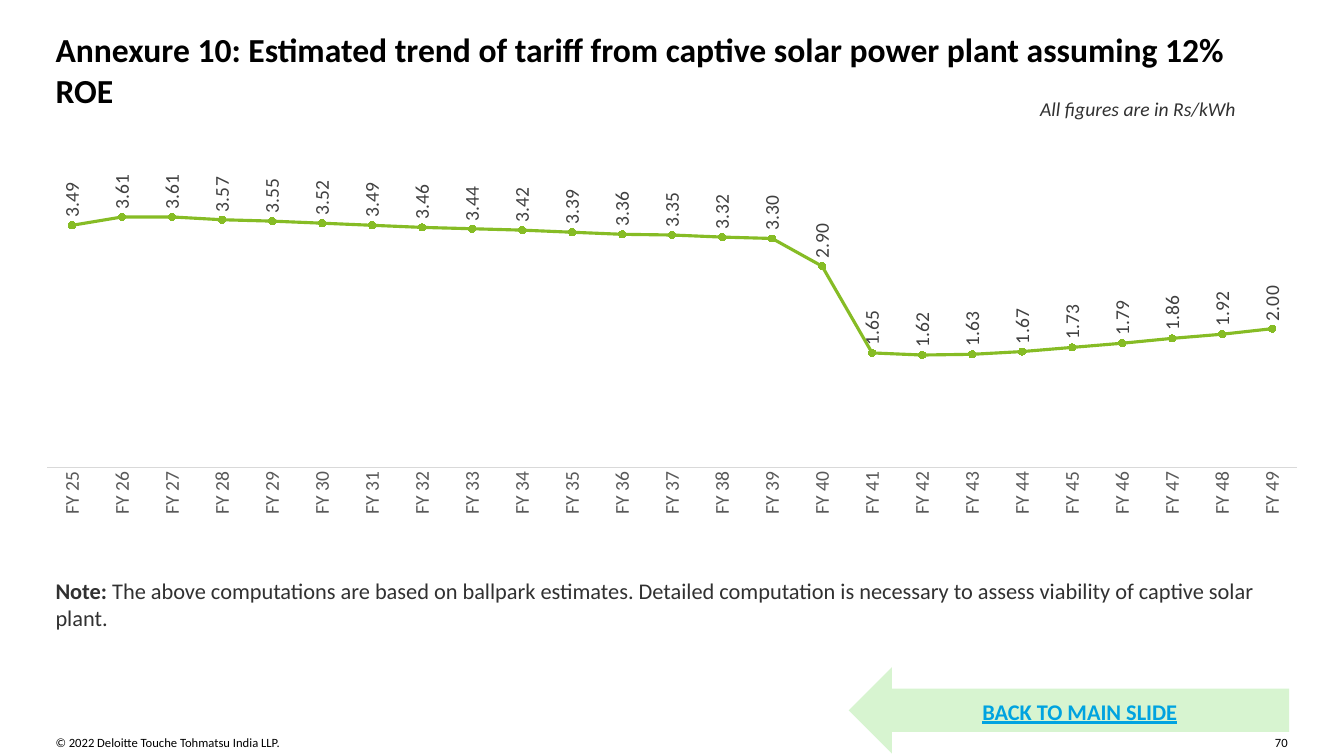
import pptx
import pptx.util
import pptx.chart.data
import pptx.dml.color
import pptx.enum.chart
import pptx.enum.shapes
import pptx.enum.text
import pptx.oxml
import pptx.oxml.ns

Cm = pptx.util.Cm
Pt = pptx.util.Pt
PP_ALIGN = pptx.enum.text.PP_ALIGN
ANCHOR = pptx.enum.text.MSO_ANCHOR

THEME = {
    "font": "Calibri",
    "black": "000000", "body": "313131", "label": "404040", "axis": "595959",
    "rule": "D9D9D9", "line": "86BC25", "arrow": "D7F4D0", "link": "00A3E0",
    "title_size": 24, "note_size": 16, "chart_size": 14, "footer_size": 9,
}

FIRST_YEAR = 25
TARIFFS = [3.49, 3.61, 3.61, 3.57, 3.55, 3.52, 3.49, 3.46, 3.44, 3.42, 3.39, 3.36, 3.35,
           3.32, 3.3, 2.9, 1.65, 1.62, 1.63, 1.67, 1.73, 1.79, 1.86, 1.92, 2]
CHART_BOX = (0.53, 4.39, 32.82, 8.79)
PLOT_SHARE = {"x": 0.02, "y": 0.04, "w": 0.96, "h": 0.8}

TEXTS = [
    {"box": (1.4, 18.52, 14.88, 0.38), "size": "footer_size", "color": "black",
     "runs": [("© 2022 Deloitte Touche Tohmatsu India LLP.", {})]},
    {"box": (32.13, 18.52, 0.38, 0.38), "size": "footer_size", "color": "black", "wrap": False,
     "runs": [("70", {})]},
    {"box": (1.4, 0.74, 31.09, 0.94), "size": "title_size", "color": "black",
     "runs": [("Annexure 10: Estimated trend of tariff from captive solar power plant assuming 12% ROE",
               {"bold": True})]},
    {"box": (1.4, 14.55, 31.09, 1.37), "size": "note_size", "color": "body",
     "runs": [("Note: ", {"bold": True}),
              ("The above computations are based on ballpark estimates. Detailed computation is "
               "necessary to assess viability of captive solar plant.", {})]},
    {"box": (26.21, 2.44, 5.82, 0.61), "size": "chart_size", "color": "body",
     "runs": [("All figures are in Rs/kWh", {"italic": True})]},
]
BACK = {"box": (21.39, 16.81, 11.1, 2.18), "size": "note_size", "color": "link",
        "margin": 0.25, "anchor": ANCHOR.MIDDLE, "align": PP_ALIGN.CENTER, "spacing": 1.06,
        "runs": [("BACK TO MAIN SLIDE", {"bold": True, "underline": True})]}


def rgb(name):
    return pptx.dml.color.RGBColor.from_string(THEME[name])


def place(box):
    return [Cm(v) for v in box]


def style(font, size, color, **extra):
    for key, value in {"name": THEME["font"], "size": Pt(THEME[size]), **extra}.items():
        setattr(font, key, value)
    font.color.rgb = rgb(color)


def write(sp, item):
    tf = sp.text_frame
    margin = Cm(item.get("margin", 0))
    frame = {"word_wrap": item.get("wrap", True),
             "vertical_anchor": item.get("anchor", ANCHOR.TOP)}
    frame.update({"margin_" + side: margin for side in ("left", "top", "right", "bottom")})
    for key, value in frame.items():
        setattr(tf, key, value)
    p = tf.paragraphs[0]
    p.alignment = item.get("align", PP_ALIGN.LEFT)
    p.line_spacing = item.get("spacing", 1.0)
    for text, extra in item["runs"]:
        r = p.add_run()
        r.text = text
        style(r.font, item["size"], item["color"], **extra)


def turn_upright(element):
    body = element.find(".//" + pptx.oxml.ns.qn("a:bodyPr"))
    body.set("rot", "-5400000")
    body.set("vert", "horz")


def set_plot_area(chart):
    area = chart._chartSpace.find(".//" + pptx.oxml.ns.qn("c:plotArea"))
    for old in area.findall(pptx.oxml.ns.qn("c:layout")):
        area.remove(old)
    modes = "".join(f'<c:{k}Mode val="edge"/>' for k in "xy")
    sizes = "".join(f'<c:{k} val="{v}"/>' for k, v in PLOT_SHARE.items())
    area.insert(0, pptx.oxml.parse_xml(
        f'<c:layout {pptx.oxml.ns.nsdecls("c")}><c:manualLayout>'
        f'<c:layoutTarget val="inner"/>{modes}{sizes}</c:manualLayout></c:layout>'))


def add_tariff_chart(s):
    data = pptx.chart.data.CategoryChartData()
    data.categories = [f"FY {FIRST_YEAR + i}" for i in range(len(TARIFFS))]
    data.add_series("Series 1", TARIFFS)
    kind = pptx.enum.chart.XL_CHART_TYPE.LINE_MARKERS
    chart = s.shapes.add_chart(kind, *place(CHART_BOX), data).chart
    chart.has_legend = chart.has_title = False
    style(chart.font, "chart_size", "black")
    set_plot_area(chart)

    years, rates = chart.category_axis, chart.value_axis
    for key, value in {"visible": False, "has_major_gridlines": False,
                       "minimum_scale": 0, "maximum_scale": 4}.items():
        setattr(rates, key, value)
    years.major_tick_mark = pptx.enum.chart.XL_TICK_MARK.NONE
    years.format.line.color.rgb = rgb("rule")
    years.format.line.width = Pt(0.75)
    style(years.tick_labels.font, "chart_size", "axis")
    turn_upright(years._element)

    plot = chart.plots[0]
    plot.vary_by_categories = False
    series = plot.series[0]
    series.smooth = False
    series.format.line.color.rgb = rgb("line")
    series.format.line.width = Pt(2.25)
    marker = series.marker
    marker.style = pptx.enum.chart.XL_MARKER_STYLE.CIRCLE
    marker.size = 5
    marker.format.fill.solid()
    marker.format.fill.fore_color.rgb = rgb("line")
    marker.format.line.color.rgb = rgb("line")

    labels = series.data_labels
    for key, value in {"show_value": True, "number_format": "#,##0.00",
                       "number_format_is_linked": False,
                       "position": pptx.enum.chart.XL_LABEL_POSITION.ABOVE}.items():
        setattr(labels, key, value)
    style(labels.font, "chart_size", "label")
    turn_upright(labels._element)


def main():
    prs = pptx.Presentation()
    prs.slide_width, prs.slide_height = Cm(33.87), Cm(19.05)
    s = prs.slides.add_slide(prs.slide_layouts[6])
    add_tariff_chart(s)
    for item in TEXTS:
        write(s.shapes.add_textbox(*place(item["box"])), item)
    sp = s.shapes.add_shape(pptx.enum.shapes.MSO_SHAPE.LEFT_ARROW, *place(BACK["box"]))
    sp.shadow.inherit = False
    sp.fill.solid()
    sp.fill.fore_color.rgb = rgb("arrow")
    sp.line.fill.background()
    write(sp, BACK)
    prs.save("out.pptx")


if __name__ == "__main__":
    main()
